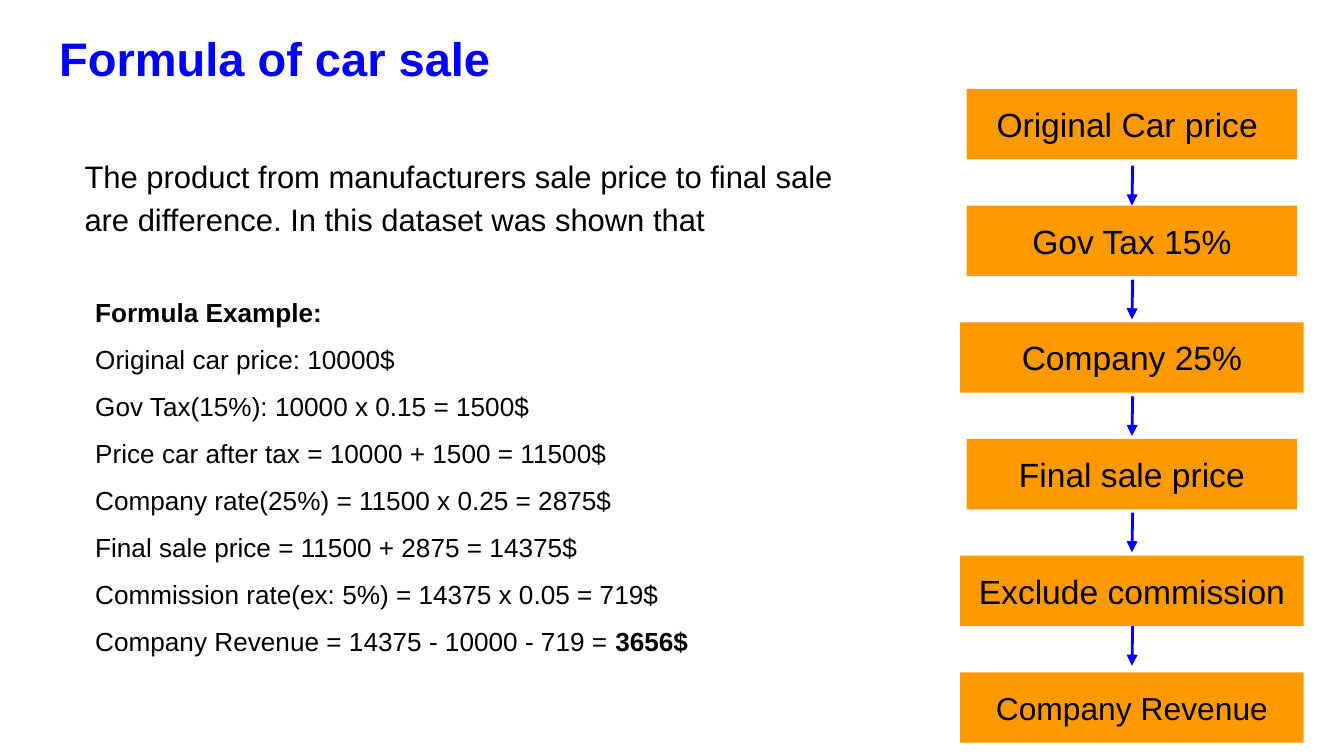
from lxml import etree
from pptx import Presentation
from pptx.dml.color import RGBColor
from pptx.enum.shapes import MSO_CONNECTOR as CONNECTOR, MSO_SHAPE as SHAPE
from pptx.enum.text import MSO_ANCHOR as ANCHOR, MSO_AUTO_SIZE as AUTO_SIZE, PP_ALIGN as ALIGN
from pptx.oxml.ns import qn
from pptx.util import Pt

COLORS = {"title": "0000FF", "text": "000000", "box": "FF9900", "arrow": "0000FF"}
FONT = "Arial"

FORMULA_LINES = [
    [("Formula Example:", True)],
    [("Original car price: 10000$", False)],
    [("Gov Tax(15%): 10000 x 0.15 = 1500$", False)],
    [("Price car after tax = 10000 + 1500 = 11500$", False)],
    [("Company rate(25%) = 11500 x 0.25 = 2875$", False)],
    [("Final sale price = 11500 + 2875 = 14375$", False)],
    [("Commission rate(ex: 5%) = 14375 x 0.05 = 719$", False)],
    [("Company Revenue = 14375 - 10000 - 719 = ", False), ("3656$", True)],
]

# Flow steps: label, box width, font size
STEPS = [
    ("Original Car price ", 177, 18),
    ("Gov Tax 15%", 177, 18),
    ("Company 25%", 184, 18),
    ("Final sale price", 177, 18),
    ("Exclude commission", 184, 18),
    ("Company Revenue", 184, 17),
]
FLOW_CENTER, FLOW_TOP, STEP_PITCH, BOX_HEIGHT = 606.4, 47.7, 62.5, 37.7
ARROW_TOPS = [88.8, 149.8, 212.3, 274.6, 335.4]
ARROW_LENGTH = 21.3


def color(name):
    return RGBColor.from_string(COLORS[name])


def write_text(shape, lines, size=14, fill="text", align=ALIGN.LEFT,
               anchor=ANCHOR.TOP, spacing=1.0, after=0):
    """Write lines, each a list of (text, bold) runs, into a shape."""
    frame = shape.text_frame
    frame.word_wrap = True
    frame.auto_size = AUTO_SIZE.NONE
    frame.vertical_anchor = anchor
    frame.margin_left = frame.margin_right = Pt(7.2)
    frame.margin_top = frame.margin_bottom = Pt(7.2)
    for index, runs in enumerate(lines):
        paragraph = frame.add_paragraph() if index else frame.paragraphs[0]
        paragraph.alignment = align
        paragraph.line_spacing = spacing
        paragraph.space_before = Pt(0)
        paragraph.space_after = Pt(after)
        for text, bold in runs:
            run = paragraph.add_run()
            run.text = text
            run.font.name = FONT
            run.font.size = Pt(size)
            run.font.bold = bold
            run.font.color.rgb = color(fill)


def set_title(slide, text):
    title = slide.shapes.title
    title.left, title.top, title.width, title.height = Pt(24.5), Pt(8.6), Pt(291.6), Pt(45.4)
    write_text(title, [[(text, True)]], size=25.2, fill="title")


def add_text(slide, left, top, width, height, lines, **style):
    box = slide.shapes.add_textbox(Pt(left), Pt(top), Pt(width), Pt(height))
    write_text(box, lines, **style)


def add_step(slide, top, label, width, size):
    box = slide.shapes.add_shape(SHAPE.RECTANGLE, Pt(FLOW_CENTER - width / 2), Pt(top),
                                 Pt(width), Pt(BOX_HEIGHT))
    box.shadow.inherit = False
    box.fill.solid()
    box.fill.fore_color.rgb = color("box")
    box.line.fill.background()
    write_text(box, [[(label, False)]], size=size, align=ALIGN.CENTER, anchor=ANCHOR.MIDDLE)


def add_arrow(slide, top):
    arrow = slide.shapes.add_connector(CONNECTOR.STRAIGHT, Pt(FLOW_CENTER + 0.4), Pt(top),
                                       Pt(FLOW_CENTER), Pt(top + ARROW_LENGTH))
    arrow.line.color.rgb = color("arrow")
    arrow.line.width = Pt(1.5)
    properties = arrow.element.spPr
    etree.SubElement(properties.find(qn("a:ln")), qn("a:tailEnd"), type="triangle")
    etree.SubElement(properties, qn("a:effectLst"))


def main():
    presentation = Presentation()
    presentation.slide_width, presentation.slide_height = Pt(720), Pt(405)
    slide = presentation.slides.add_slide(presentation.slide_layouts[5])

    # Title and explanation
    set_title(slide, "Formula of car sale")
    intro = ("The product from manufacturers sale price to final sale are difference. "
             "In this dataset was shown that")
    add_text(slide, 38.2, 74.2, 429, 66.2, [[(intro, False)]], size=16.6, spacing=1.15, after=12)
    add_text(slide, 43.9, 143.3, 429, 208, FORMULA_LINES, spacing=1.5)

    # Flow of price steps
    for index, step in enumerate(STEPS):
        add_step(slide, FLOW_TOP + index * STEP_PITCH, *step)
    for top in ARROW_TOPS:
        add_arrow(slide, top)

    presentation.save("out.pptx")


if __name__ == "__main__":
    main()
